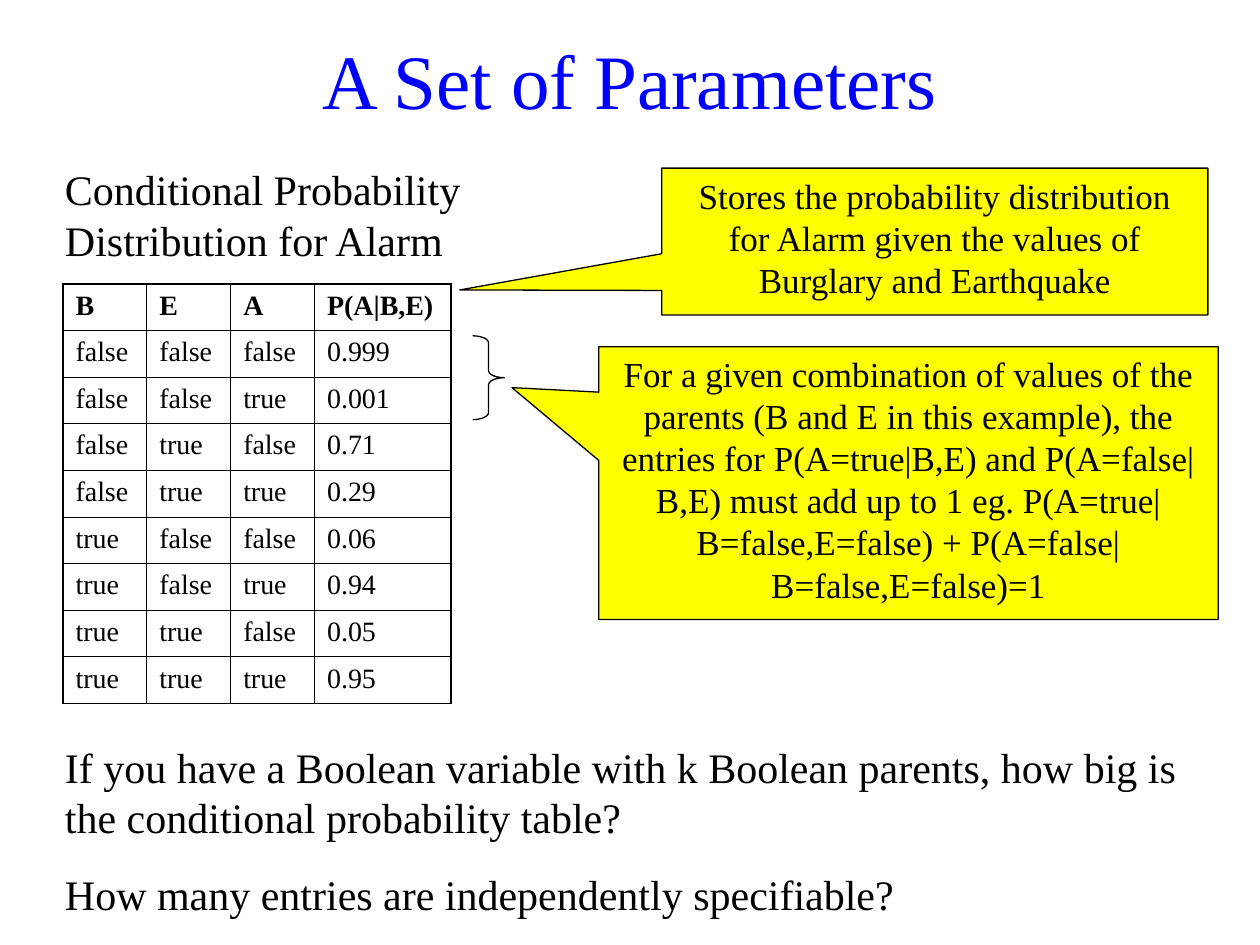
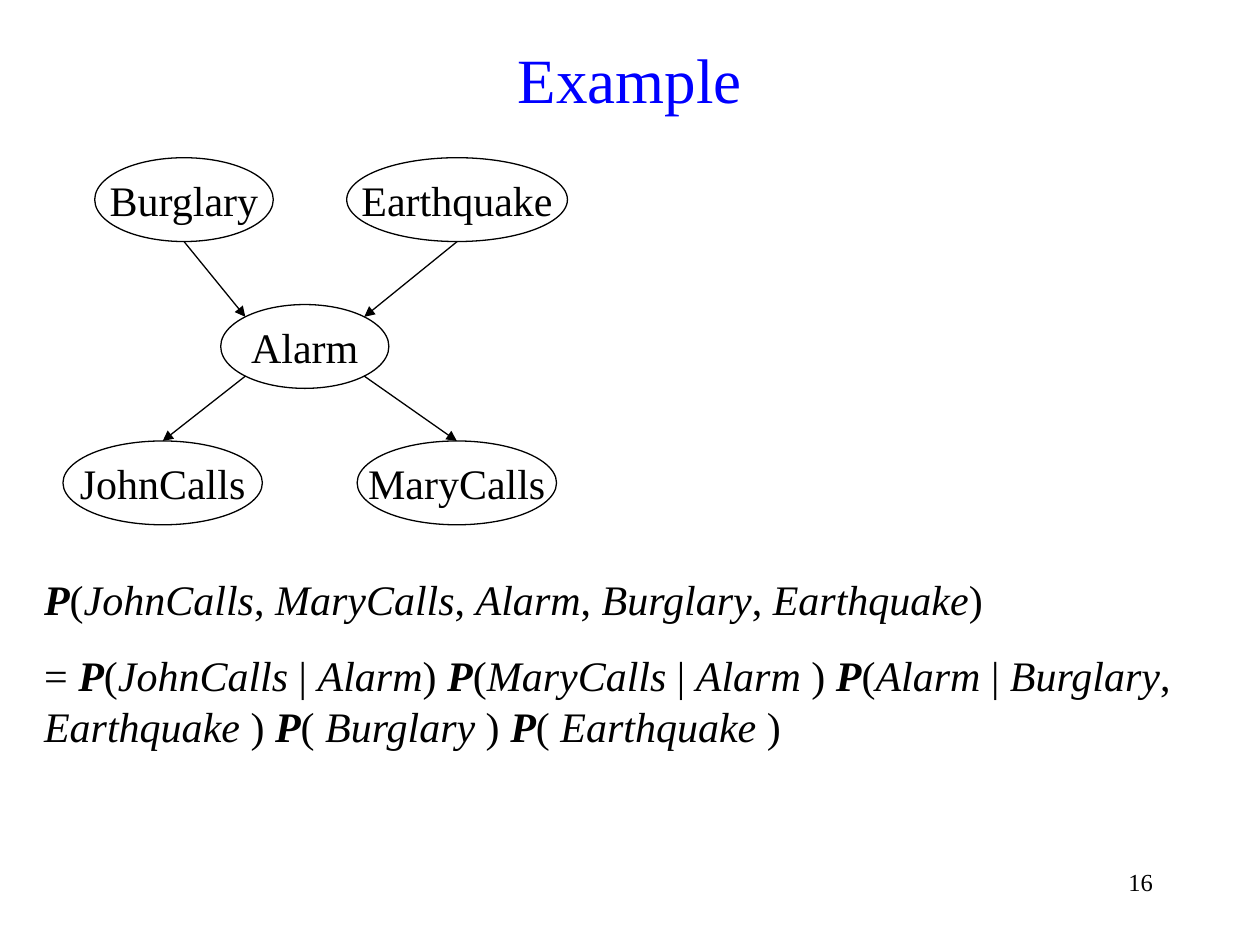
from itertools import groupby

from lxml import etree
from pptx import Presentation
from pptx import util as u
from pptx.dml.color import RGBColor
from pptx.enum import shapes, text
from pptx.oxml import ns

BLUE = RGBColor(0x00, 0x00, 0xFF)
BLACK = RGBColor(0x00, 0x00, 0x00)
YELLOW = RGBColor(0xFF, 0xFF, 0x00)
FONT = "Times New Roman"
LINE = u.Pt(0.75)
LEFT, CENTER, RIGHT = text.PP_ALIGN.LEFT, text.PP_ALIGN.CENTER, text.PP_ALIGN.RIGHT
MIDDLE, TOP = text.MSO_ANCHOR.MIDDLE, text.MSO_ANCHOR.TOP


def write(tf, paragraphs, size, align=LEFT, color=BLACK, bold=False, formula=False):
    """Fill a text frame; in a formula, words are italic and P is bold too."""
    for i, line in enumerate(paragraphs):
        p = tf.add_paragraph() if i else tf.paragraphs[0]
        p.alignment = align
        if i:
            p.space_before = u.Pt(15)
        p.font.name, p.font.size, p.font.bold = FONT, u.Pt(size), bold
        p.font.color.rgb = color
        pieces = groupby(line, str.isalpha) if formula else [(False, line)]
        for is_word, letters in pieces:
            r = p.add_run()
            r.text = "".join(letters)
            if is_word:
                r.font.italic = True
                r.font.bold = r.text == "P"


def add_text(s, box, paragraphs, size, anchor=TOP, **style):
    tf = s.shapes.add_textbox(*map(u.Cm, box)).text_frame
    tf.word_wrap = True
    tf.vertical_anchor = anchor
    write(tf, paragraphs, size, **style)


prs = Presentation()
prs.slide_width, prs.slide_height = u.Cm(25.4), u.Cm(19.05)

# Slides and their titles
slides = []
for title, size in (("A Set of Parameters", 44), ("Example", 36)):
    s = prs.slides.add_slide(prs.slide_layouts[6])
    add_text(s, (0, 0.42, 25.4, 2.33), [title], size, MIDDLE, align=CENTER, color=BLUE)
    slides.append(s)
params, example = slides

# Slide 1: conditional probability table
add_text(params, (1.06, 3.18, 8.68, 2.29),
         ["Conditional Probability Distribution for Alarm"], 24)
rows = [
    ("B", "E", "A", "P(A|B,E)"),
    ("false", "false", "false", "0.999"),
    ("false", "false", "true", "0.001"),
    ("false", "true", "false", "0.71"),
    ("false", "true", "true", "0.29"),
    ("true", "false", "false", "0.06"),
    ("true", "false", "true", "0.94"),
    ("true", "true", "false", "0.05"),
    ("true", "true", "true", "0.95"),
]
widths = (1.69, 1.69, 1.69, 2.75)
row_height = 0.94
table = params.shapes.add_table(
    len(rows), len(widths), u.Cm(1.27), u.Cm(5.72),
    u.Cm(sum(widths)), u.Cm(row_height * len(rows))).table
table.first_row = table.horz_banding = False
for column, width in zip(table.columns, widths):
    column.width = u.Cm(width)
for i, values in enumerate(rows):
    table.rows[i].height = u.Cm(row_height)
    for j, value in enumerate(values):
        cell = table.cell(i, j)
        cell.fill.background()
        write(cell.text_frame, [value], 16, bold=i == 0)
        # Thick lines round the table, thin ones inside
        outer = {"lnL": j == 0, "lnR": j == len(widths) - 1,
                 "lnT": i == 0, "lnB": i == len(rows) - 1}
        tcPr = cell._tc.get_or_add_tcPr()
        for k, (side, thick) in enumerate(outer.items()):
            ln = etree.Element(ns.qn("a:" + side), w=str(u.Pt(1.08 if thick else 0.45)))
            fill = etree.SubElement(ln, ns.qn("a:solidFill"))
            etree.SubElement(fill, ns.qn("a:srgbClr"), val=str(BLACK))
            tcPr.insert(k, ln)

# Brace beside the first two rows of values
sp = params.shapes.add_shape(shapes.MSO_SHAPE.RIGHT_BRACE,
                             u.Cm(9.53), u.Cm(6.77), u.Cm(0.64), u.Cm(1.69))
sp.adjustments[0] = 0.22
sp.shadow.inherit = False
sp.fill.background()
sp.line.color.rgb, sp.line.width = BLACK, LINE

# Callouts
callouts = [
    ((13.34, 3.39, 11.01, 2.96), (-0.87, 0.33),
     "Stores the probability distribution for Alarm given the values of "
     "Burglary and Earthquake"),
    ((12.07, 6.99, 12.49, 5.5), (-0.64, -0.35),
     "For a given combination of values of the parents (B and E in this example), "
     "the entries for P(A=true|B,E) and P(A=false|B,E) must add up to 1 eg. "
     "P(A=true|B=false,E=false) + P(A=false|B=false,E=false)=1"),
]
for box, tip, note in callouts:
    sp = params.shapes.add_shape(shapes.MSO_SHAPE.RECTANGULAR_CALLOUT, *map(u.Cm, box))
    sp.adjustments[0], sp.adjustments[1] = tip
    sp.shadow.inherit = False
    sp.fill.solid()
    sp.fill.fore_color.rgb = YELLOW
    sp.line.color.rgb, sp.line.width = BLACK, LINE
    sp.text_frame.vertical_anchor = TOP
    write(sp.text_frame, [note], 20, align=CENTER)

# Questions
add_text(params, (1.06, 14.82, 23.5, 3.84), [
    "If you have a Boolean variable with k Boolean parents, how big is the "
    "conditional probability table?",
    "How many entries are independently specifiable?"], 24)

# Slide 2: network nodes (left, top, width)
nodes = {
    "Burglary": (1.91, 3.18, 3.6),
    "Earthquake": (6.99, 3.18, 4.45),
    "Alarm": (4.45, 6.14, 3.39),
    "JohnCalls": (1.27, 8.89, 4.02),
    "MaryCalls": (7.2, 8.89, 4.02),
}
node_height = 1.69
for name, (x, y, w) in nodes.items():
    sp = example.shapes.add_shape(shapes.MSO_SHAPE.OVAL,
                                  u.Cm(x), u.Cm(y), u.Cm(w), u.Cm(node_height))
    sp.shadow.inherit = False
    sp.fill.background()
    sp.line.color.rgb, sp.line.width = BLACK, LINE
    tf = sp.text_frame
    tf.word_wrap = False
    tf.vertical_anchor = MIDDLE
    write(tf, [name], 24, align=CENTER)

# Arrows between Alarm's diagonal points and the outer nodes
ax, ay, aw = nodes["Alarm"]
for name, side, is_parent in (("Burglary", -1, True), ("Earthquake", 1, True),
                              ("JohnCalls", -1, False), ("MaryCalls", 1, False)):
    x, y, w = nodes[name]
    up = -1 if is_parent else 1
    alarm_end = (ax + aw / 2 * (1 + side * 0.5 ** 0.5),
                 ay + node_height / 2 * (1 + up * 0.5 ** 0.5))
    node_end = (x + w / 2, y + node_height if is_parent else y)
    ends = (node_end, alarm_end) if is_parent else (alarm_end, node_end)
    cn = example.shapes.add_connector(shapes.MSO_CONNECTOR.STRAIGHT,
                                      *(u.Cm(v) for end in ends for v in end))
    cn.line.color.rgb, cn.line.width = BLACK, LINE
    etree.SubElement(cn.line._get_or_add_ln(), ns.qn("a:tailEnd"), type="triangle")
    etree.SubElement(cn._element.spPr, ns.qn("a:effectLst"))

# Joint distribution
add_text(example, (0.64, 11.43, 24.13, 3.84), [
    "P(JohnCalls, MaryCalls, Alarm, Burglary, Earthquake)",
    "= P(JohnCalls | Alarm) P(MaryCalls | Alarm ) P(Alarm | Burglary, Earthquake ) "
    "P( Burglary ) P( Earthquake )"], 24, formula=True)

# Slide number
add_text(example, (20.74, 17.36, 2.75, 1.27), ["16"], 14, align=RIGHT)

prs.save("out.pptx")
